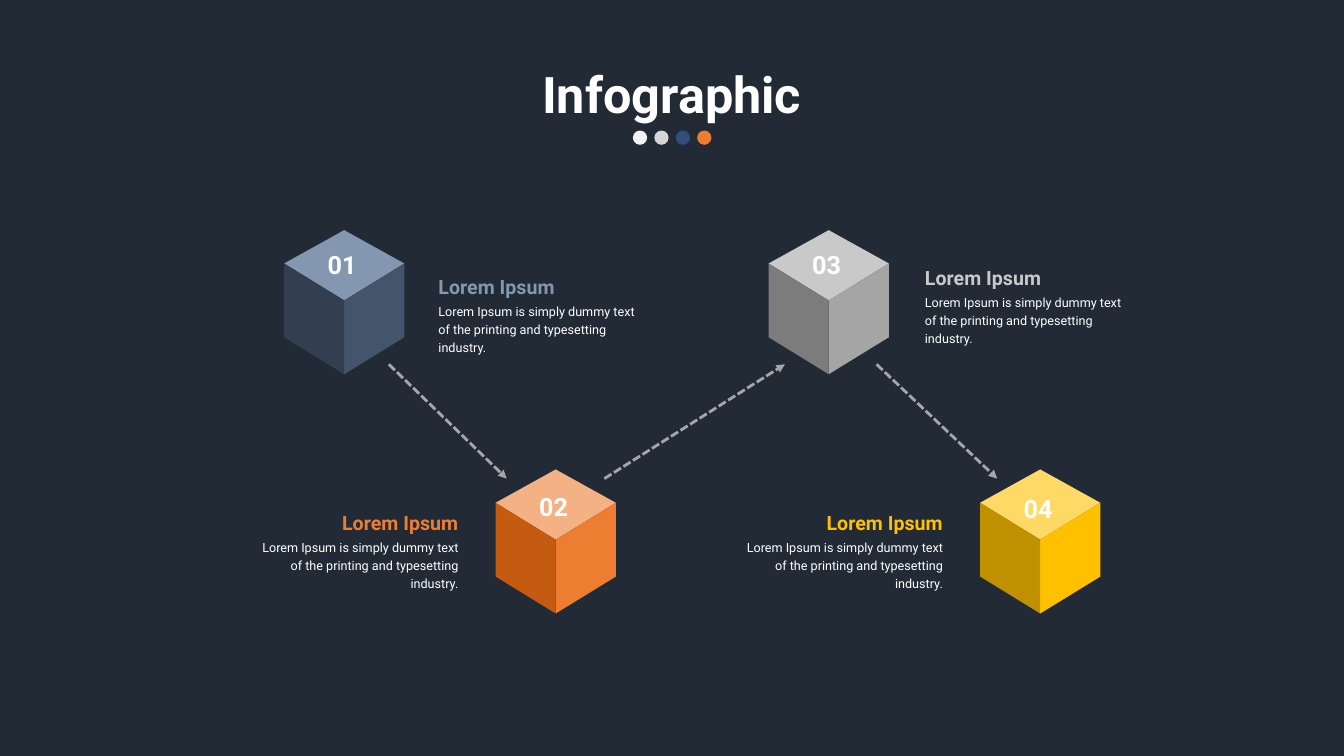
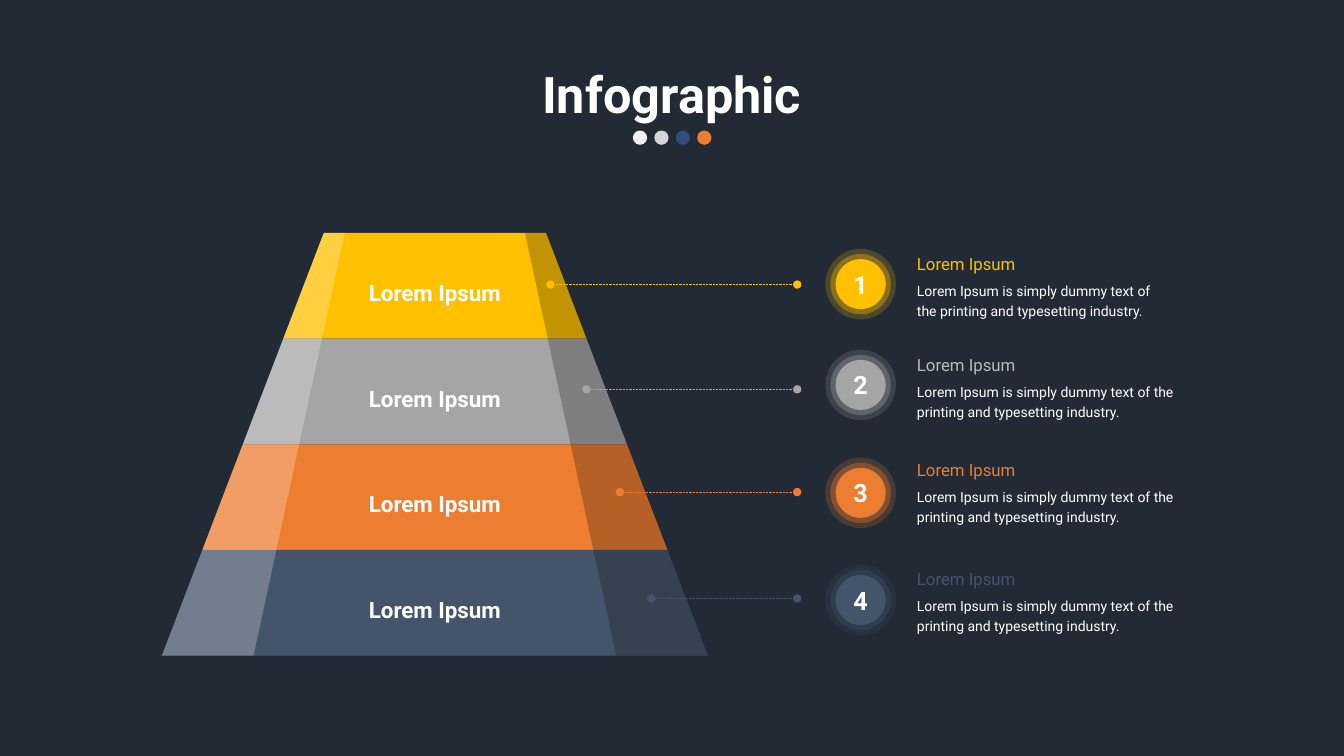
from dataclasses import dataclass

from lxml import etree
from pptx import Presentation
from pptx.dml.color import RGBColor
from pptx.enum.dml import MSO_LINE
from pptx.enum.shapes import MSO_CONNECTOR, MSO_SHAPE
from pptx.enum.text import MSO_ANCHOR, MSO_AUTO_SIZE, PP_ALIGN
from pptx.oxml.ns import qn
from pptx.util import Cm, Pt

OVAL, STRAIGHT = MSO_SHAPE.OVAL, MSO_CONNECTOR.STRAIGHT
LEFT, CENTER, RIGHT = PP_ALIGN.LEFT, PP_ALIGN.CENTER, PP_ALIGN.RIGHT
MIDDLE, NO_FIT = MSO_ANCHOR.MIDDLE, MSO_AUTO_SIZE.NONE
DASHED, DOTTED = MSO_LINE.SQUARE_DOT, MSO_LINE.ROUND_DOT
TITLE_ONLY = 5


@dataclass(frozen=True)
class Theme:
    """Colours and type sizes shared by the deck."""

    font: str = "Roboto"
    night: str = "222A35"
    white: str = "FFFFFF"
    black: str = "0D0D0D"
    pearl: str = "F2F2F2"
    mist: str = "D9D9D9"
    blue: str = "4472C4"
    orange: str = "ED7D31"
    peach: str = "F4B183"
    rust: str = "C55A11"
    yellow: str = "FFC000"
    lemon: str = "FFD966"
    ochre: str = "BF9000"
    gray: str = "A5A5A5"
    silver: str = "C9C9C9"
    ash: str = "BCBCBC"
    iron: str = "7C7C7C"
    arrow: str = "A6A6A6"
    slate: str = "44546A"
    steel: str = "8497B0"
    navy: str = "333F50"
    title: int = 36
    number: int = 18
    label: int = 16
    step_heading: int = 14
    item_heading: int = 12
    item_body: int = 10
    step_body: int = 9


@dataclass(frozen=True)
class Box:
    """A rectangle in centimetres."""

    left: float
    top: float
    width: float
    height: float

    def lengths(self):
        """Return the four sides as slide lengths."""
        return [Cm(side) for side in (self.left, self.top, self.width, self.height)]


@dataclass(frozen=True)
class Step:
    """One cube of the flow with its text and arrow offsets."""

    number: str
    faces: tuple
    heading: str
    align: int
    gap: float
    text_drop: float
    number_drop: float
    arrive: float
    leave: float


@dataclass(frozen=True)
class Tier:
    """One pyramid band with its callout and legend entry."""

    color: str
    heading: str
    callout_left: float
    callout_drop: float
    text_drop: float
    badge_drop: float
    body_width: float


THEME = Theme()
HEADING = "Lorem Ipsum"
BODY = "Lorem Ipsum is simply dummy text of the printing and typesetting industry."
STEPS = (
    Step("01", (THEME.steel, THEME.slate, THEME.navy), THEME.steel, LEFT, 0.61, 0.89, 0.2, 0, 2.64),
    Step("02", (THEME.peach, THEME.orange, THEME.rust), THEME.orange, RIGHT, 0.69, 0.81, 0.28, 0.28, 2.74),
    Step("03", (THEME.silver, THEME.gray, THEME.iron), THEME.silver, LEFT, 0.66, 0.66, 0.2, 0.41, 2.72),
    Step("04", (THEME.lemon, THEME.yellow, THEME.ochre), THEME.yellow, RIGHT, 0.69, 0.81, 0.33, 0.43, 0),
)
TIERS = (
    Tier(THEME.yellow, THEME.yellow, 9.79, 1.3, 0.3, 0.1, 6.93),
    Tier(THEME.gray, THEME.ash, 10.7, 3.94, 2.84, 0.1, 7.09),
    Tier(THEME.orange, THEME.orange, 11.54, 6.53, 5.48, 0.18, 7.09),
    Tier(THEME.slate, THEME.slate, 12.33, 9.21, 8.23, 0.13, 7.09),
)


def paint(shape, color, opacity=100):
    """Give a shape a flat fill without outline or shadow."""
    shape.shadow.inherit = False
    shape.line.fill.background()
    shape.fill.solid()
    shape.fill.fore_color.rgb = RGBColor.from_string(color)
    if opacity < 100:
        tint = shape.element.spPr.find(qn("a:solidFill"))[0]
        etree.SubElement(tint, qn("a:alpha"), val=str(opacity * 1000))


def write(frame, text, size, color, bold=False, align=LEFT, spacing=1.2):
    """Set the single paragraph of a text frame."""
    para = frame.paragraphs[0]
    para.text = text
    para.alignment = align
    para.line_spacing = spacing
    para.font.name = THEME.font
    para.font.size = Pt(size)
    para.font.bold = bold
    para.font.color.rgb = RGBColor.from_string(color)


def add_text(page, box, text, size, color, wrap=True, **style):
    """Add a text box."""
    frame = page.shapes.add_textbox(*box.lengths()).text_frame
    frame.word_wrap = wrap
    write(frame, text, size, color, **style)


def add_circle(page, left, top, size, color, opacity=100):
    """Add a filled circle."""
    circle = page.shapes.add_shape(OVAL, *Box(left, top, size, size).lengths())
    paint(circle, color, opacity)
    return circle


def add_polygon(page, box, points, color, opacity=100):
    """Add a closed outline whose points are relative to the box."""
    corners = [(Cm(box.left + x), Cm(box.top + y)) for x, y in points]
    builder = page.shapes.build_freeform(*corners[0], scale=1.0)
    builder.add_line_segments(corners[1:], close=True)
    paint(builder.convert_to_shape(), color, opacity)


def add_line(page, start, end, color, width, dash, **ends):
    """Add a dashed connector with the given line ends."""
    points = [Cm(value) for value in (*start, *end)]
    connector = page.shapes.add_connector(STRAIGHT, *points)
    connector.line.color.rgb = RGBColor.from_string(color)
    connector.line.width = Pt(width)
    connector.line.dash_style = dash
    for name, kind in ends.items():
        etree.SubElement(connector.get_or_add_ln(), qn(f"a:{name}"), type=kind)
    etree.SubElement(connector.element.spPr, qn("a:effectLst"))


def add_page(deck, title):
    """Add a slide with its title and row of dots."""
    page = deck.slides.add_slide(deck.slide_layouts[TITLE_ONLY])
    holder = page.shapes.title
    holder.left, holder.top, holder.width, holder.height = Box(1.65, 1.63, 30.56, 1.63).lengths()
    holder.text_frame.auto_size = NO_FIT
    holder.text_frame.vertical_anchor = MIDDLE
    write(holder.text_frame, title, THEME.title, THEME.white, True, CENTER, 0.9)
    dots = ((THEME.pearl, 100), (THEME.mist, 98), (THEME.blue, 50), (THEME.orange, 100))
    for index, (color, opacity) in enumerate(dots):
        add_circle(page, 15.95 + 0.54 * index, 3.29, 0.36, color, opacity)
    return page


def add_cube(page, box, step):
    """Draw a numbered cube that fills the box."""
    middle, right, bottom = box.width / 2, box.width, box.height
    shoulder, center = 0.84, 1.77
    hip = bottom - center + shoulder
    top_face, right_face, left_face = step.faces
    add_polygon(page, box, [(0, shoulder), (middle, 0), (right, shoulder), (middle, center)], top_face)
    for side, color in ((right, right_face), (0, left_face)):
        face = [(middle, center), (side, shoulder), (side, hip), (middle, bottom)]
        add_polygon(page, box, face, color)
    number_box = Box(box.left + 0.85, box.top + step.number_drop, 1.24, 1.12)
    add_text(page, number_box, step.number, THEME.number, THEME.white, wrap=False, bold=True)


def add_step_text(page, cube, step):
    """Write a step's heading and body beside its cube."""
    top = cube.top + step.text_drop
    rows = (
        (0, 5.77, 0.91, HEADING, THEME.step_heading, step.heading, True),
        (0.76, 5.66, 1.6, BODY, THEME.step_body, THEME.white, False),
    )
    for drop, width, height, text, size, color, bold in rows:
        left = cube.left + cube.width + step.gap
        if step.align == RIGHT:
            left = cube.left - step.gap - width
        area = Box(left, top + drop, width, height)
        add_text(page, area, text, size, color, bold=bold, align=step.align)


def add_cube_flow(page, box):
    """Draw cubes alternating between two rows, joined by arrows."""
    width, height = 3.03, 3.63
    pair, lead = 12.21, 5.33
    cubes = []
    for index in range(len(STEPS)):
        column, row = divmod(index, 2)
        left = box.left + column * pair + row * lead
        cubes.append(Box(left, box.top + row * (box.height - height), width, height))
    for index in range(len(STEPS) - 1):
        drops = (3.38, 0.23) if index % 2 == 0 else (0.23, 3.38)
        source, target = cubes[index], cubes[index + 1]
        start = (source.left + STEPS[index].leave, source.top + drops[0])
        end = (target.left + STEPS[index + 1].arrive, target.top + drops[1])
        add_line(page, start, end, THEME.arrow, 2, DASHED, tailEnd="triangle")
    for cube, step in zip(cubes, STEPS):
        add_step_text(page, cube, step)
        add_cube(page, cube, step)


def add_pyramid(page, box):
    """Draw the tiered pyramid, its shaded sides, labels and callouts."""
    slope, band = 4.08, box.height / len(TIERS)
    for index, tier in enumerate(TIERS):
        top, bottom = index * band, (index + 1) * band
        upper, lower = (slope * (1 - edge / box.height) for edge in (top, bottom))
        corners = [(upper, top), (box.width - upper, top), (box.width - lower, bottom), (lower, bottom)]
        add_polygon(page, box, corners, tier.color)
    strip = [(0, box.height), (2.31, box.height), (slope + 0.53, 0), (slope, 0)]
    add_polygon(page, box, strip, THEME.white, 25)
    add_polygon(page, box, [(box.width - x, y) for x, y in strip], THEME.black, 25)
    for index, tier in enumerate(TIERS):
        label = Box(box.left + box.width / 2 - 3.85, box.top + index * band + 0.9, 7.7, 1.02)
        add_text(page, label, HEADING, THEME.label, THEME.white, bold=True, align=CENTER)
        level = box.top + tier.callout_drop
        start, end = (box.left + 16.01, level), (box.left + tier.callout_left, level)
        add_line(page, start, end, tier.color, 0.5, DOTTED, headEnd="oval", tailEnd="oval")


def add_badge(page, left, top, number, color):
    """Draw a numbered circle inside two translucent rings."""
    size = 1.78
    for inset, opacity in ((0, 20), (0.13, 35), (0.26, 100)):
        circle = add_circle(page, left + inset, top + inset, size - 2 * inset, color, opacity)
    frame = circle.text_frame
    frame.margin_left = frame.margin_right = 0
    frame.vertical_anchor = MIDDLE
    write(frame, number, THEME.number, THEME.white, True, CENTER, 1.0)


def add_legend(page, box):
    """List the tiers with badges, headings and texts."""
    for number, tier in enumerate(TIERS, 1):
        top, left = box.top + tier.text_drop, box.left + 2.06
        add_badge(page, box.left, top + tier.badge_drop, str(number), tier.color)
        add_text(page, Box(left, top, 5.59, 0.81), HEADING, THEME.item_heading, tier.heading)
        body = Box(left, top + 0.74, tier.body_width, 1.24)
        add_text(page, body, BODY, THEME.item_body, THEME.white)


def main():
    """Build and save the deck."""
    deck = Presentation()
    deck.slide_width, deck.slide_height = Cm(33.87), Cm(19.05)
    backdrop = deck.slide_master.background.fill
    backdrop.solid()
    backdrop.fore_color.rgb = RGBColor.from_string(THEME.night)
    add_cube_flow(add_page(deck, "Infographic"), Box(7.16, 5.8, 20.57, 9.66))
    page = add_page(deck, "Infographic")
    add_pyramid(page, Box(4.08, 5.87, 13.76, 10.65))
    add_legend(page, Box(20.8, 5.87, 9.15, 10.65))
    deck.save("out.pptx")


if __name__ == "__main__":
    main()
